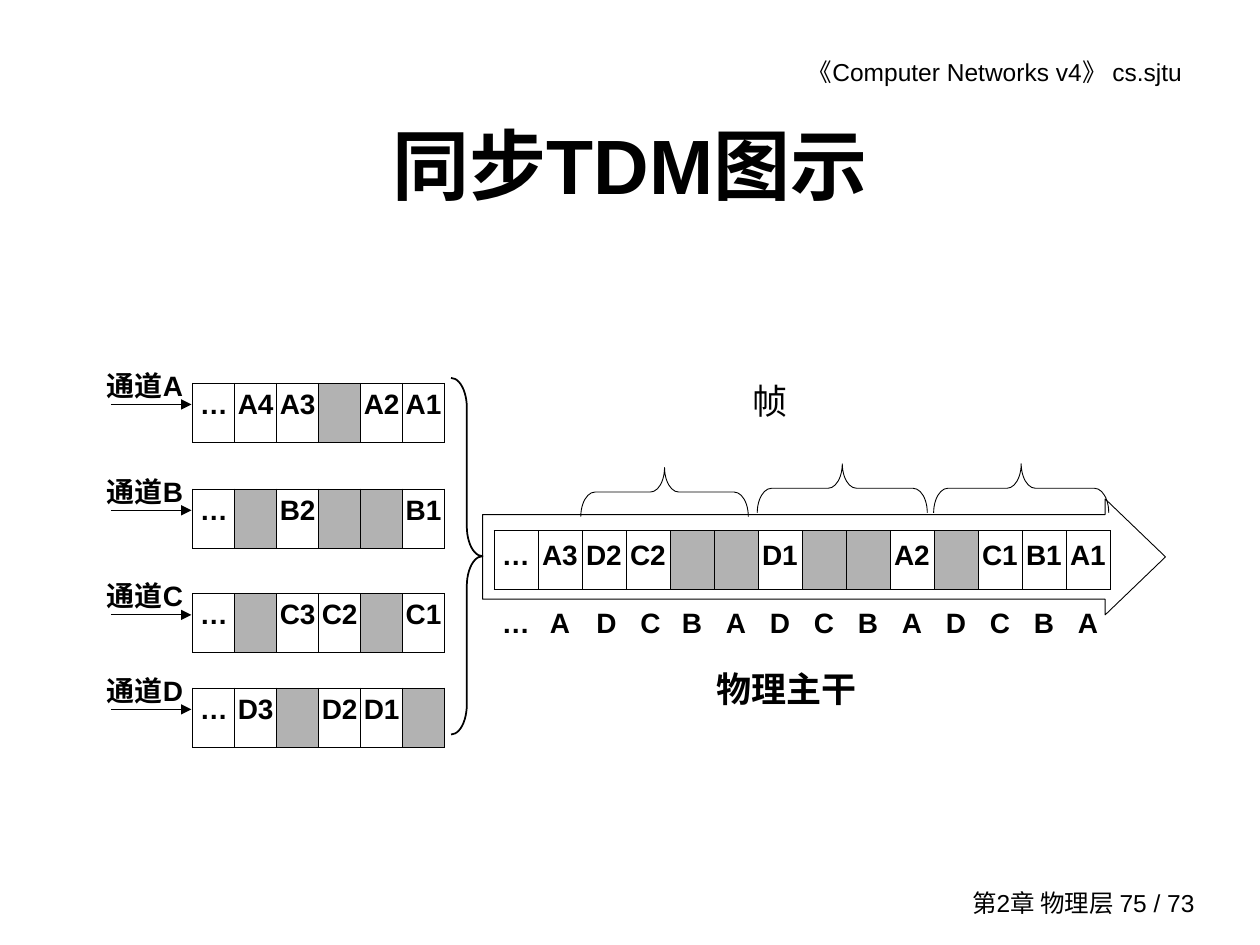
from dataclasses import dataclass

from lxml import etree
from pptx import Presentation
from pptx import util as u
from pptx.dml.color import RGBColor
from pptx.enum import shapes, text
from pptx.oxml import ns

BLACK = RGBColor(0x00, 0x00, 0x00)
WHITE = RGBColor(0xFF, 0xFF, 0xFF)
IDLE_GRAY = RGBColor(0xB2, 0xB2, 0xB2)
FONT = "Arial"
LEFT, CENTER, RIGHT = text.PP_ALIGN.LEFT, text.PP_ALIGN.CENTER, text.PP_ALIGN.RIGHT

prs = Presentation()
prs.slide_width, prs.slide_height = u.Inches(10), u.Inches(7.5)
COLUMN = prs.slide_width / 100
ROW = prs.slide_height / 75
slide = prs.slides.add_slide(prs.slide_layouts[6])


@dataclass
class Box:
    """Area in grid units: 100 columns by 75 rows."""
    x: float
    y: float
    w: float
    h: float

    def emu(self) -> tuple[int, int, int, int]:
        return (round(self.x * COLUMN), round(self.y * ROW),
                round(self.w * COLUMN), round(self.h * ROW))


@dataclass
class Label:
    words: str
    box: Box
    size: float
    bold: bool = False
    align: text.PP_ALIGN = LEFT
    anchor: text.MSO_ANCHOR = text.MSO_ANCHOR.TOP
    right_inset: float = 1


@dataclass
class Channel:
    letter: str
    y: float
    slots: list[str]


@dataclass
class Frame:
    start: float
    end: float
    top: float


def style_font(paragraph, size: float, bold: bool) -> None:
    font = paragraph.font
    font.name, font.size, font.bold = FONT, u.Pt(size), bold
    font.color.rgb = BLACK


def add_label(label: Label) -> None:
    frame = slide.shapes.add_textbox(*label.box.emu()).text_frame
    frame.word_wrap = True
    frame.vertical_anchor = label.anchor
    frame.margin_right = round(label.right_inset * COLUMN)
    paragraph = frame.paragraphs[0]
    paragraph.text, paragraph.alignment = label.words, label.align
    style_font(paragraph, label.size, label.bold)


def set_borders(cell, points: float) -> None:
    """Rule all four sides of a cell; zero points means no rule."""
    properties = cell._tc.get_or_add_tcPr()
    for position, side in enumerate(("lnL", "lnR", "lnT", "lnB")):
        line = etree.Element(ns.qn(f"a:{side}"), w=str(u.Pt(points)))
        if points:
            fill = etree.SubElement(line, ns.qn("a:solidFill"))
            etree.SubElement(fill, ns.qn("a:srgbClr"), val=str(BLACK))
        else:
            etree.SubElement(line, ns.qn("a:noFill"))
        properties.insert(position, line)


def add_slots(slots: list[str], box: Box, widths: list[float],
              spacing: float = 1.0, border: float = 0.4) -> None:
    """One-row table of time slots; an empty slot is shaded."""
    table = slide.shapes.add_table(1, len(slots), *box.emu()).table
    table.first_row = table.horz_banding = False
    for column, width, words in zip(table.columns, widths, slots):
        column.width = round(width * COLUMN)
    for cell, words in zip(table.rows[0].cells, slots):
        cell.margin_left = cell.margin_right = u.Inches(0.02)
        if words:
            cell.fill.background()
        else:
            cell.fill.solid()
            cell.fill.fore_color.rgb = IDLE_GRAY
        paragraph = cell.text_frame.paragraphs[0]
        paragraph.text, paragraph.alignment = words, CENTER
        paragraph.line_spacing = spacing
        style_font(paragraph, 16, True)
        set_borders(cell, border)


def add_input_arrow(y: float) -> None:
    x1, y1, length, _ = Box(8.8, y, 6.4, 0).emu()
    arrow = slide.shapes.add_connector(
        shapes.MSO_CONNECTOR.STRAIGHT, x1, y1, x1 + length, y1)
    arrow.line.color.rgb, arrow.line.width = BLACK, u.Pt(0.5)
    etree.SubElement(arrow.line._get_or_add_ln(), ns.qn("a:tailEnd"), type="triangle")
    etree.SubElement(arrow._element.spPr, ns.qn("a:effectLst"))


def add_outline(preset: shapes.MSO_SHAPE, box: Box, adjustments: tuple[float, float],
                points: float, rotation: float = 0) -> None:
    outline = slide.shapes.add_shape(preset, *box.emu())
    outline.shadow.inherit = False
    outline.fill.background()
    outline.line.color.rgb, outline.line.width = BLACK, u.Pt(points)
    outline.rotation = rotation
    for index, value in enumerate(adjustments):
        outline.adjustments[index] = value


def add_frame_brace(frame: Frame) -> None:
    """Brace over one frame, its tip pointing up."""
    depth, span = 3.9, frame.end - frame.start
    box = Box((frame.start + frame.end - depth) / 2,
              frame.top + (depth - span) / 2, depth, span)
    add_outline(shapes.MSO_SHAPE.RIGHT_BRACE, box, (0.29, 0.5), 0.5, rotation=270)


SLOT_HEIGHT = 4.7
CHANNEL_X, CHANNEL_WIDTH = 15.3, 20
TRUNK_X, TRUNK_WIDTH = 39.2, 48.9

LABELS = [
    Label("《Computer Networks v4》 cs.sjtu", Box(52.8, 4, 43.1, 3.4), 14,
          align=RIGHT, right_inset=2.1),
    Label("第2章 物理层 75 / 73", Box(73.2, 70, 22.6, 3.3), 14,
          align=RIGHT, anchor=text.MSO_ANCHOR.MIDDLE),
    Label("同步TDM图示", Box(7.5, 6.7, 85, 12.5), 44, True, CENTER,
          text.MSO_ANCHOR.MIDDLE),
    Label("物理主干", Box(55.9, 52.5, 14.7, 4.2), 20, True),
    Label("帧", Box(58.7, 29.6, 3.9, 4.4), 20),
]
CHANNELS = [
    Channel("A", 30.4, ["…", "A4", "A3", "", "A2", "A1"]),
    Channel("B", 38.8, ["…", "", "B2", "", "", "B1"]),
    Channel("C", 47.1, ["…", "", "C3", "C2", "", "C1"]),
    Channel("D", 54.6, ["…", "D3", "", "D2", "D1", ""]),
]
TRUNK_SLOTS = ["…", "A3", "D2", "C2", "", "", "D1", "", "", "A2", "", "C1", "B1", "A1"]
SLOT_OWNERS = ["…", "A"] + list("DCBA") * 3
FRAMES = [Frame(46.1, 59.4, 37.1), Frame(60.1, 73.6, 36.8), Frame(74.1, 88, 36.8)]

for label in LABELS:
    add_label(label)

for channel in CHANNELS:
    add_label(Label(f"通道{channel.letter}", Box(6.3, channel.y - 1.65, 9.2, 4.2),
                    16, True, RIGHT))
    add_input_arrow(channel.y + 1.7)
    count = len(channel.slots)
    add_slots(channel.slots, Box(CHANNEL_X, channel.y, CHANNEL_WIDTH, SLOT_HEIGHT),
              [CHANNEL_WIDTH / count] * count)

slot_width = TRUNK_WIDTH / len(TRUNK_SLOTS)
trunk_widths = [slot_width] * len(TRUNK_SLOTS)
add_slots(TRUNK_SLOTS, Box(TRUNK_X, 42.1, TRUNK_WIDTH, SLOT_HEIGHT), trunk_widths, 1.1)

add_outline(shapes.MSO_SHAPE.RIGHT_ARROW, Box(38.3, 39.6, 54.2, 9.2), (0.73, 0.52), 0.5)
owner_widths = trunk_widths[:2] + [slot_width + 0.4, slot_width - 0.4] + trunk_widths[4:]
add_slots(SLOT_OWNERS, Box(TRUNK_X, 47.5, TRUNK_WIDTH, 4.2), owner_widths, 1.1, border=0)

add_outline(shapes.MSO_SHAPE.RIGHT_BRACE, Box(35.8, 30, 2.5, 28.3), (0.95, 0.5), 1)
for frame in FRAMES:
    add_frame_brace(frame)

prs.save("out.pptx")
